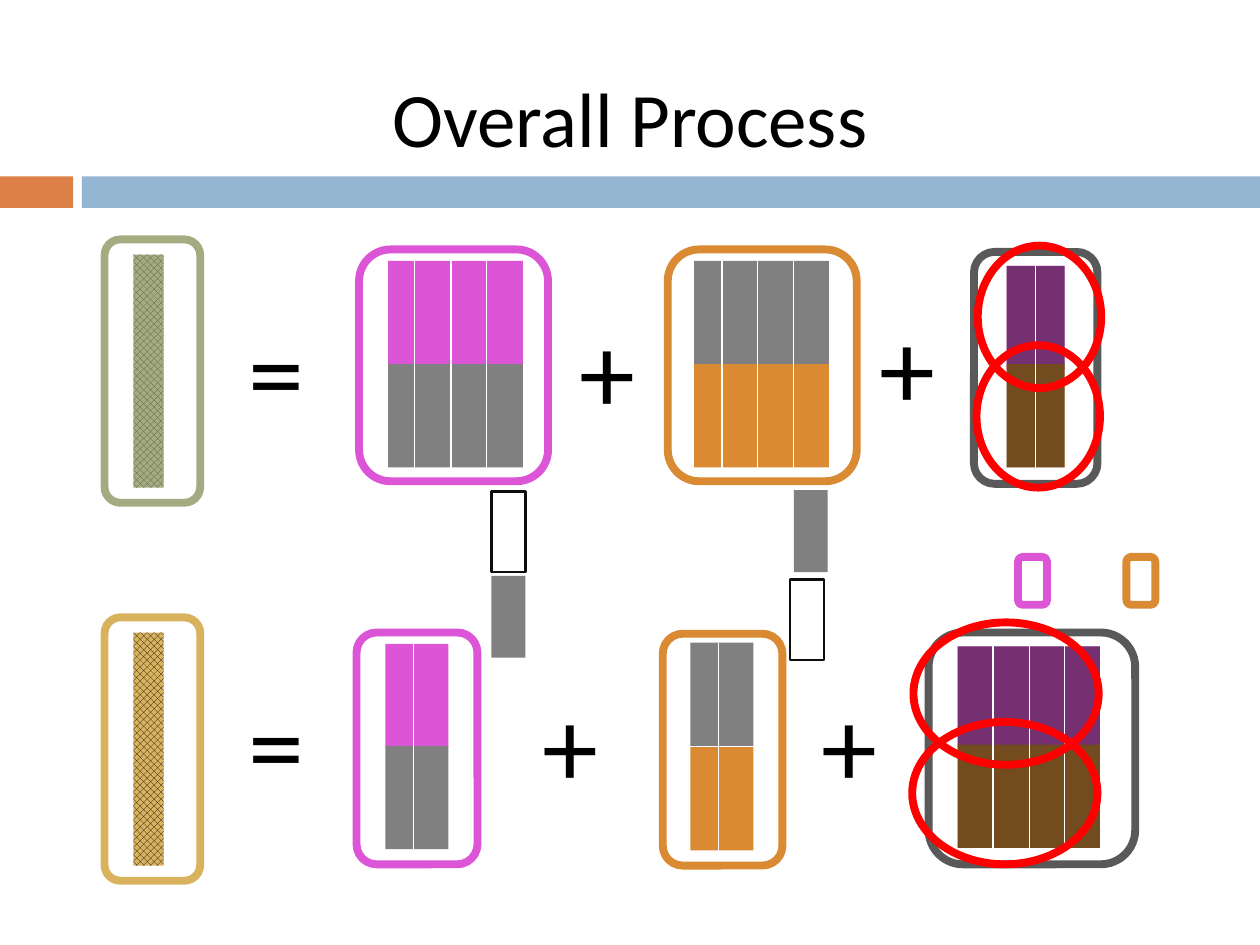
from lxml import etree
from pptx import Presentation
from pptx.dml.color import RGBColor
from pptx.enum.dml import MSO_PATTERN
from pptx.enum.shapes import MSO_CONNECTOR, MSO_SHAPE
from pptx.enum.text import MSO_ANCHOR, PP_ALIGN
from pptx.oxml.ns import qn
from pptx.util import Inches, Pt

FONT = "Calibri"
BLACK = RGBColor(0x00, 0x00, 0x00)
WHITE = RGBColor(0xFF, 0xFF, 0xFF)
INK = RGBColor(0x0D, 0x0D, 0x0D)
RUST = RGBColor(0xDD, 0x80, 0x47)
BLUE = RGBColor(0x94, 0xB6, 0xD2)
OLIVE = RGBColor(0xA5, 0xAB, 0x81)
DARK_OLIVE = RGBColor(0x56, 0x5A, 0x3C)
SAND = RGBColor(0xD8, 0xB2, 0x5C)
GRAY = RGBColor(0x80, 0x80, 0x80)
DARK_GRAY = RGBColor(0x59, 0x59, 0x59)
PINK = RGBColor(0xDD, 0x55, 0xD7)
ORANGE = RGBColor(0xD9, 0x8A, 0x33)
RED = RGBColor(0xFF, 0x00, 0x00)

CELL_H = 0.82
HEAVY = 4.5

# Header bands: box, colour
BANDS = [((0, 1.4, 0.58, 0.25), RUST), ((0.65, 1.4, 9.35, 0.25), BLUE)]

# Result columns: top of frame, frame and pattern background, pattern foreground
RESULTS = [(1.9, OLIVE, DARK_OLIVE), (4.9, SAND, INK)]

# Two-tone blocks: left, top, width, top of lower half, colours,
# divider positions, divider top and bottom, shaded
BLOCKS = [
    (5.51, 2.07, 1.07, 2.89, (GRAY, ORANGE), (5.73, 6.01, 6.3), (2.07, 3.75), False),
    (3.08, 2.07, 1.07, 2.89, (PINK, GRAY), (3.29, 3.58, 3.86), (2.06, 3.75), False),
    (7.99, 2.11, 0.46, 2.89, (PINK, ORANGE), (8.22,), (2.11, 3.9), True),
    (5.48, 5.1, 0.5, 5.93, (GRAY, ORANGE), (5.7,), (5.1, 6.79), False),
    (3.06, 5.11, 0.5, 5.92, (PINK, GRAY), (3.28,), (5.1, 6.79), False),
    (7.6, 5.13, 1.13, 5.91, (PINK, ORANGE), (7.88, 8.17, 8.45), (5.11, 6.8), True),
]

# Rounded frames around the blocks: left, top, width, colour
FRAMES = [
    (2.85, 1.98, 1.5, PINK), (5.3, 1.98, 1.5, ORANGE), (7.73, 2, 0.98, DARK_GRAY),
    (2.83, 5.02, 0.96, PINK), (5.26, 5.03, 0.95, ORANGE), (7.37, 5.02, 1.64, DARK_GRAY),
]
FRAME_H = 1.84

# Outlined and gray pairs: outlined left and top, gray left and top
PAIRS = [(3.9, 3.9, 3.9, 4.57), (6.27, 4.6, 6.3, 3.89)]

# Small keys: left, colour
KEYS = [(8.08, PINK), (8.94, ORANGE)]

# Operators: sign, left, top
OPERATORS = [
    ("=", 1.87, 2.34), ("+", 4.5, 2.34), ("+", 6.88, 2.31),
    ("=", 1.87, 5.3), ("+", 4.21, 5.31), ("+", 6.42, 5.31),
]

# Red rings: left, top, width
RINGS = [(7.25, 4.94, 1.47), (7.76, 1.95, 0.98), (7.24, 5.73, 1.47), (7.75, 2.74, 0.98)]
RING_H = 1.13


def add_box(shapes, box, fill=None, line=None, width=HEAVY, kind=MSO_SHAPE.RECTANGLE):
    shape = shapes.add_shape(kind, *(Inches(value) for value in box))
    shape.shadow.inherit = False
    if fill is None:
        shape.fill.background()
    else:
        shape.fill.solid()
        shape.fill.fore_color.rgb = fill
    if line is None:
        shape.line.fill.background()
    else:
        shape.line.color.rgb = line
        shape.line.width = Pt(width)
    return shape


def add_divider(shapes, x, top, bottom):
    line = shapes.add_connector(
        MSO_CONNECTOR.STRAIGHT, Inches(x), Inches(top), Inches(x), Inches(bottom))
    line.line.color.rgb = WHITE
    line.line.width = Pt(0.79)
    etree.SubElement(line._element.spPr, qn("a:effectLst"))


def add_text(shapes, box, text, size, align=PP_ALIGN.LEFT, anchor=MSO_ANCHOR.TOP):
    frame = shapes.add_textbox(*(Inches(value) for value in box)).text_frame
    frame.word_wrap = True
    frame.vertical_anchor = anchor
    paragraph = frame.paragraphs[0]
    paragraph.alignment = align
    run = paragraph.add_run()
    run.text = text
    run.font.name = FONT
    run.font.size = Pt(size)
    run.font.color.rgb = BLACK


def add_block(slide, left, top, width, middle, colors, dividers, span, shaded):
    shapes = slide.shapes.add_group_shape().shapes
    for y, color in zip((top, middle), colors):
        add_box(shapes, (left, y, width, CELL_H), color)
    if shaded:
        shade = add_box(shapes, (left, top, width, middle + CELL_H - top), INK)
        color = shade._element.spPr.find(qn("a:solidFill"))[0]
        etree.SubElement(color, qn("a:alpha"), val="50000")
    for x in dividers:
        add_divider(shapes, x, *span)


presentation = Presentation()
presentation.slide_width, presentation.slide_height = Inches(10), Inches(7.5)
slide = presentation.slides.add_slide(presentation.slide_layouts[6])
shapes = slide.shapes

# Header
for box, color in BANDS:
    add_box(shapes, box, color)
add_text(shapes, (0.5, 0.3, 9, 1.25), "Overall Process", 44,
         PP_ALIGN.CENTER, MSO_ANCHOR.MIDDLE)

# Result columns
for top, color, dark in RESULTS:
    column = add_box(shapes, (1.06, top + 0.12, 0.24, 1.85), color)
    column.fill.patterned()
    column.fill.pattern = MSO_PATTERN.LARGE_CHECKER_BOARD
    column.fill.fore_color.rgb = dark
    column.fill.back_color.rgb = color
    add_box(shapes, (0.83, top, 0.76, 2.09), line=color, kind=MSO_SHAPE.ROUNDED_RECTANGLE)

# Blocks and their frames
for block in BLOCKS:
    add_block(slide, *block)
for left, top, width, color in FRAMES:
    add_box(shapes, (left, top, width, FRAME_H), line=color,
            kind=MSO_SHAPE.ROUNDED_RECTANGLE)

# Pairs and keys between the rows
for open_left, open_top, gray_left, gray_top in PAIRS:
    pair = shapes.add_group_shape().shapes
    add_box(pair, (open_left, open_top, 0.27, 0.64), WHITE, INK, 1.5)
    add_box(pair, (gray_left, gray_top, 0.27, 0.65), GRAY)
keys = shapes.add_group_shape().shapes
for left, color in KEYS:
    add_box(keys, (left, 4.42, 0.23, 0.38), line=color, kind=MSO_SHAPE.ROUNDED_RECTANGLE)

# Operators
for sign, left, top in OPERATORS:
    add_text(shapes, (left, top, 0.82, 1.18), sign, 64)

# Rings
for left, top, width in RINGS:
    add_box(shapes, (left, top, width, RING_H), line=RED, kind=MSO_SHAPE.OVAL)

presentation.save("out.pptx")
